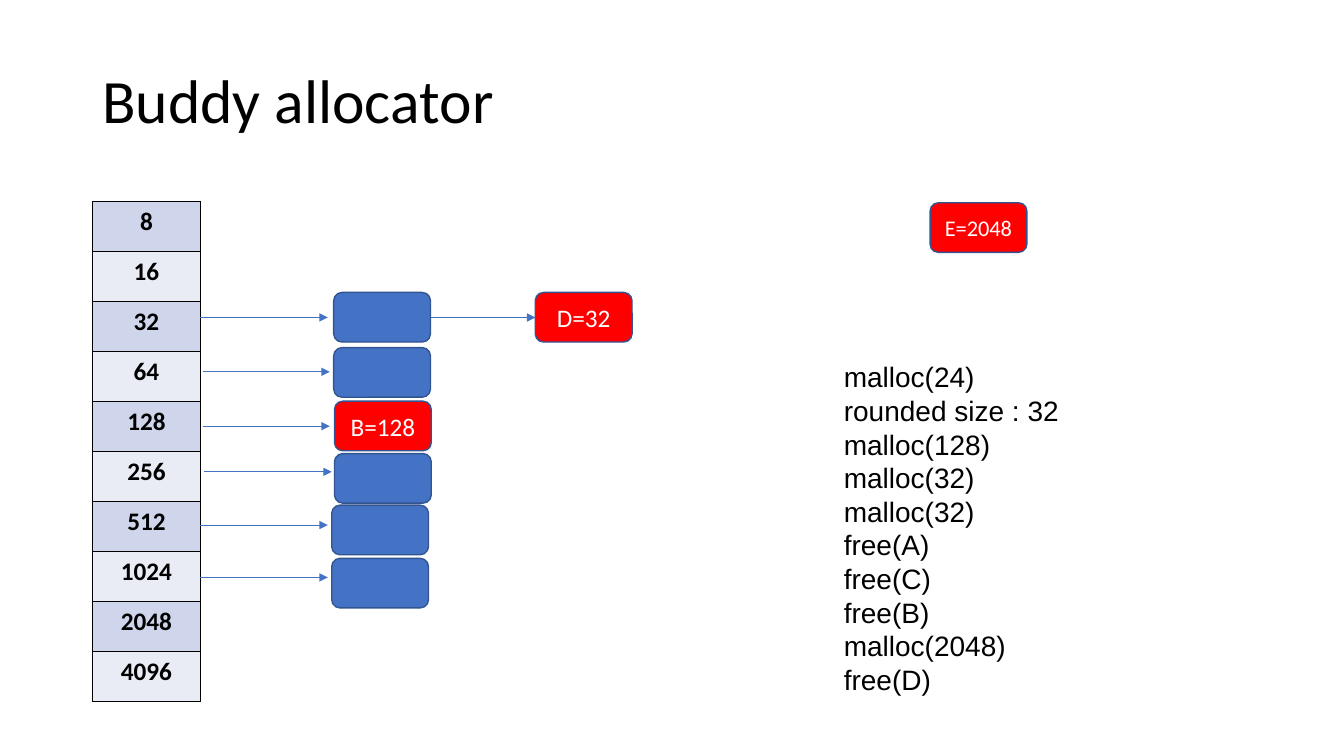
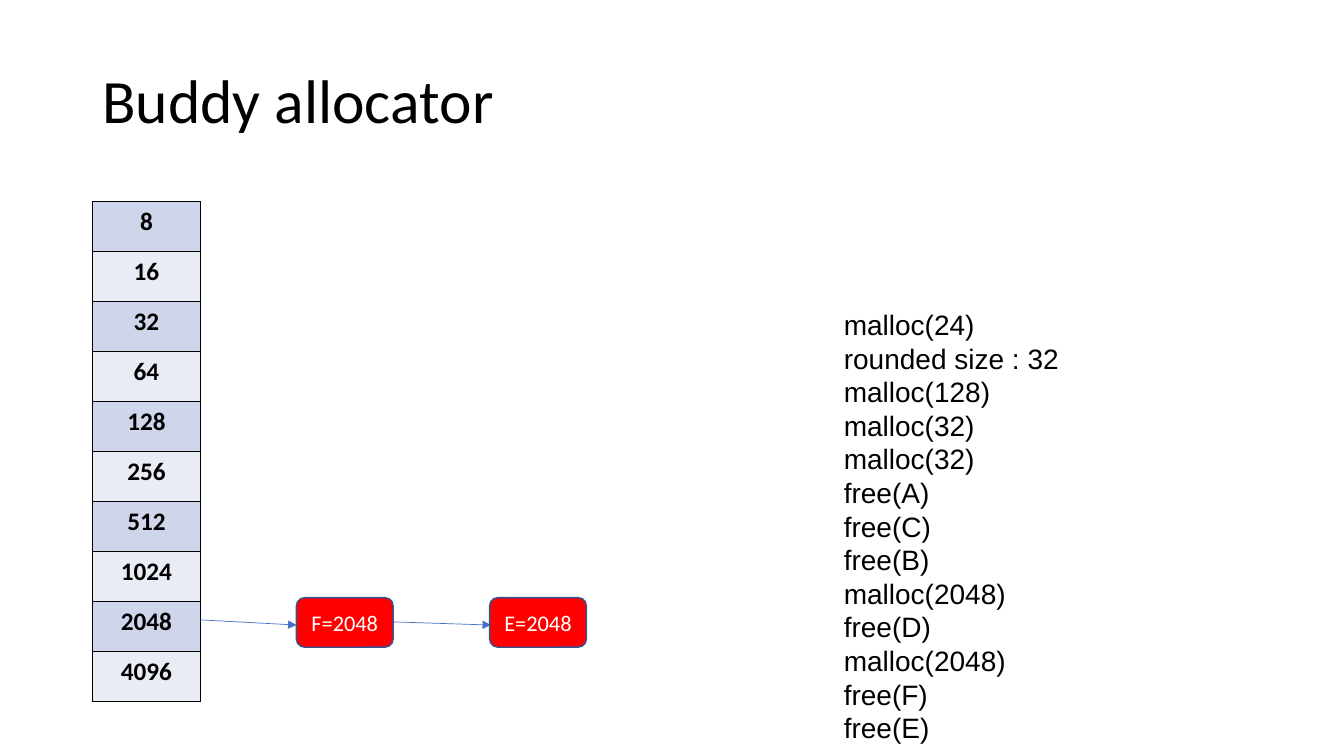
"""Build two slides on how a buddy allocator tracks its free and used blocks."""
from dataclasses import dataclass

from lxml import etree
from pptx import Presentation
from pptx.dml.color import RGBColor
from pptx.enum import shapes, text
from pptx.oxml import ns
from pptx.util import Cm, Pt


@dataclass(frozen=True)
class Theme:
    ink: str = "000000"
    paper: str = "FFFFFF"
    free: str = "4472C4"
    used: str = "FF0000"
    edge: str = "325491"
    bands: tuple = ("CFD5EA", "E9EBF5")
    face: str = "Calibri"
    list_face: str = "Arial"
    title: int = 44
    calls: int = 20
    label: int = 18
    small_label: int = 16


T = Theme()

TITLE = "Buddy allocator"
SIZES = [8, 16, 32, 64, 128, 256, 512, 1024, 2048, 4096]
CALLS = [
    "malloc(24)", "rounded size : 32", "malloc(128)", "malloc(32)", "malloc(32)",
    "free(A)", "free(C)", "free(B)", "malloc(2048)", "free(D)",
    "malloc(2048)", "free(F)", "free(E)",
]
SLIDES = [
    {
        "calls": CALLS[:10],
        "calls_top": 8.94,
        "blocks": [
            ("", 8.41, 7.37), ("", 8.41, 8.76), ("B=128", 8.43, 10.11),
            ("", 8.43, 11.43), ("", 8.36, 12.73), ("", 8.36, 14.07),
            ("D=32", 13.49, 7.37), ("E=2048", 23.44, 5.11),
        ],
        "arrows": [
            (5.05, 8, 8.26, 8), (5.11, 9.37, 8.31, 9.37), (5.11, 10.74, 8.31, 10.74),
            (5.13, 11.89, 8.36, 11.89), (5.05, 13.23, 8.26, 13.23),
            (5.05, 14.55, 8.26, 14.55), (10.85, 8, 13.49, 8),
        ],
    },
    {
        "calls": CALLS,
        "calls_top": 7.62,
        "blocks": [("F=2048", 7.47, 15.06), ("E=2048", 12.34, 15.06)],
        "arrows": [(5.05, 15.62, 7.47, 15.75), (9.91, 15.67, 12.37, 15.75)],
    },
]

TITLE_BOX = (2.33, 0.77, 29.21, 3.68)
TABLE_LEFT, TABLE_TOP, TABLE_WIDTH, ROW_HEIGHT = 2.33, 5.08, 2.72, 1.26
BLOCK_WIDTH, BLOCK_HEIGHT = 2.44, 1.25
CALLS_LEFT, CALLS_WIDTH, CALL_HEIGHT, CALLS_PADDING = 21.01, 10.26, 0.86, 0.25


def rgb(color):
    return RGBColor.from_string(color)


def fill(target, color):
    target.fill.solid()
    target.fill.fore_color.rgb = rgb(color)


def place(sp, left, top, width, height):
    sp.left, sp.top, sp.width, sp.height = map(Cm, (left, top, width, height))


def style(p, size, color=T.ink, face=T.face, bold=False, align=text.PP_ALIGN.LEFT):
    p.alignment = align
    for r in p.runs:
        r.font.size, r.font.name, r.font.bold = Pt(size), face, bold
        r.font.color.rgb = rgb(color)


def add_title(s):
    sp = s.shapes.title
    place(sp, *TITLE_BOX)
    tf = sp.text_frame
    tf.text = TITLE
    tf.auto_size = text.MSO_AUTO_SIZE.NONE
    tf.vertical_anchor = text.MSO_ANCHOR.MIDDLE
    p = tf.paragraphs[0]
    p.line_spacing = 0.9
    style(p, T.title)


def add_border(cell):
    tc_pr = cell._tc.get_or_add_tcPr()
    for i, side in enumerate(("lnL", "lnR", "lnT", "lnB")):
        ln = etree.Element(ns.qn(f"a:{side}"), w=str(Pt(1)))
        solid = etree.SubElement(ln, ns.qn("a:solidFill"))
        etree.SubElement(solid, ns.qn("a:srgbClr"), val=T.ink)
        tc_pr.insert(i, ln)


def add_sizes(s):
    table = s.shapes.add_table(
        len(SIZES), 1, Cm(TABLE_LEFT), Cm(TABLE_TOP),
        Cm(TABLE_WIDTH), Cm(ROW_HEIGHT * len(SIZES))).table
    table.first_row = table.horz_banding = False
    for i, size in enumerate(SIZES):
        table.rows[i].height = Cm(ROW_HEIGHT)
        cell = table.cell(i, 0)
        cell.text = str(size)
        style(cell.text_frame.paragraphs[0], T.label, bold=True,
              align=text.PP_ALIGN.CENTER)
        fill(cell, T.bands[i % 2])
        add_border(cell)


def add_arrow(s, x1, y1, x2, y2):
    sp = s.shapes.add_connector(
        shapes.MSO_CONNECTOR.STRAIGHT, Cm(x1), Cm(y1), Cm(x2), Cm(y2))
    sp.line.color.rgb = rgb(T.free)
    sp.line.width = Pt(0.5)
    etree.SubElement(sp.line._get_or_add_ln(), ns.qn("a:tailEnd"), type="triangle")
    etree.SubElement(sp._element.spPr, ns.qn("a:effectLst"))


def add_block(s, label, left, top):
    sp = s.shapes.add_shape(
        shapes.MSO_SHAPE.ROUNDED_RECTANGLE,
        Cm(left), Cm(top), Cm(BLOCK_WIDTH), Cm(BLOCK_HEIGHT))
    sp.shadow.inherit = False
    fill(sp, T.used if label else T.free)
    sp.line.color.rgb = rgb(T.edge)
    sp.line.width = Pt(1)
    if label:
        tf = sp.text_frame
        tf.text = label
        tf.vertical_anchor = text.MSO_ANCHOR.MIDDLE
        size = T.label if len(label) < 6 else T.small_label
        style(tf.paragraphs[0], size, T.paper, align=text.PP_ALIGN.CENTER)


def add_calls(s, calls, top):
    sp = s.placeholders[1]
    place(sp, CALLS_LEFT, top, CALLS_WIDTH, CALL_HEIGHT * len(calls) + CALLS_PADDING)
    tf = sp.text_frame
    tf.text = "\n".join(calls)
    tf.auto_size = text.MSO_AUTO_SIZE.SHAPE_TO_FIT_TEXT
    for p in tf.paragraphs:
        p.space_before = Pt(0)
        style(p, T.calls, face=T.list_face)
        p_pr = p._p.get_or_add_pPr()
        p_pr.set("marL", "0")
        p_pr.set("indent", "0")
        etree.SubElement(p_pr, ns.qn("a:buNone"))


def main():
    prs = Presentation()
    prs.slide_width, prs.slide_height = Cm(33.87), Cm(19.05)
    for content in SLIDES:
        s = prs.slides.add_slide(prs.slide_layouts[1])
        add_title(s)
        add_sizes(s)
        for arrow in content["arrows"]:
            add_arrow(s, *arrow)
        for block in content["blocks"]:
            add_block(s, *block)
        add_calls(s, content["calls"], content["calls_top"])
    prs.save("out.pptx")


if __name__ == "__main__":
    main()
